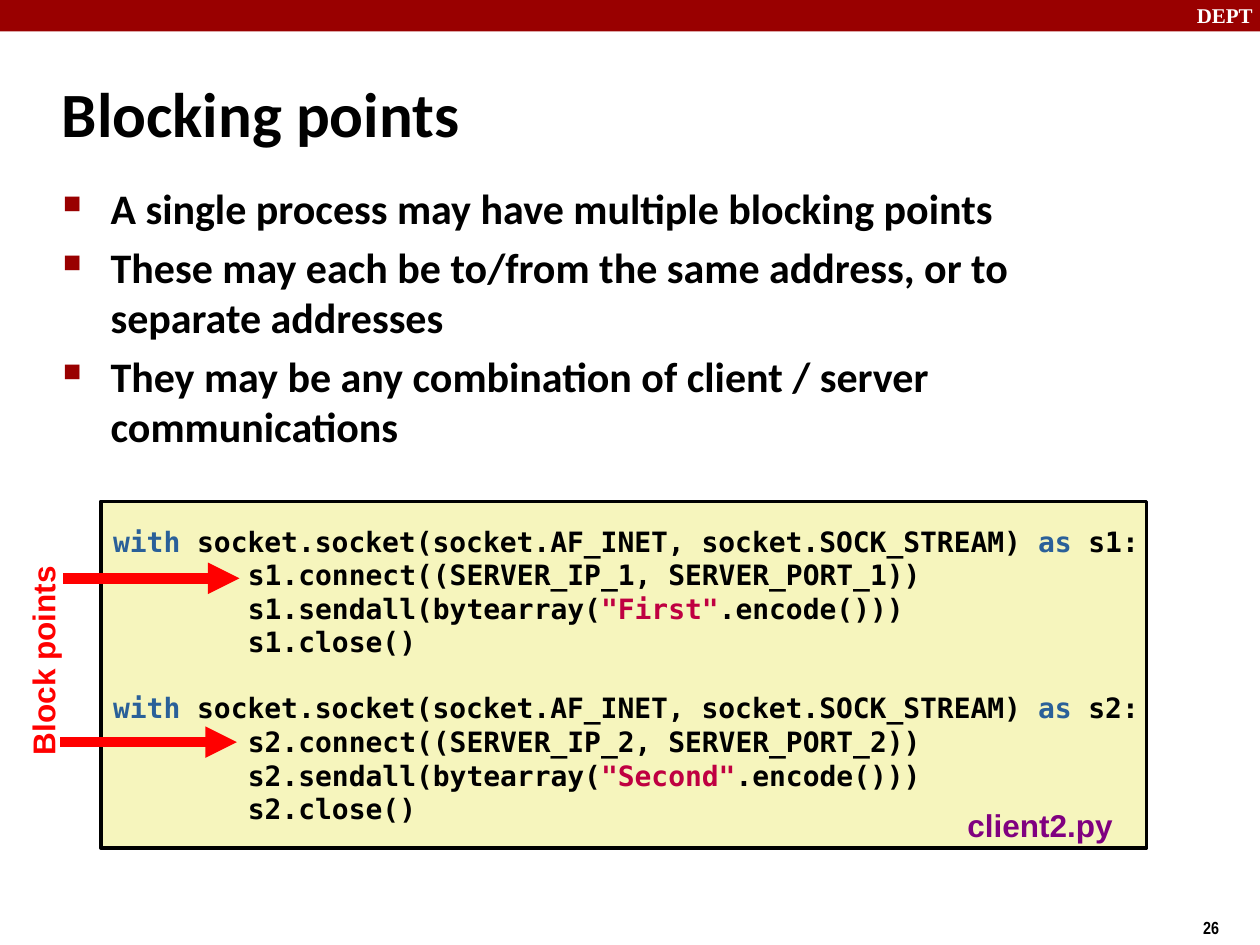
from pptx import Presentation
from pptx import util as u
from pptx.dml.color import RGBColor
from pptx.enum import shapes, text
from pptx.oxml.ns import qn
from lxml import etree

THEME = {
    "red": "990000", "white": "FFFFFF", "ink": "000000", "cream": "F6F5BD",
    "key": "2A6099", "str": "BF0041", "file": "800080", "alert": "FF0000",
    "title": ("Calibri", 36), "body": ("Calibri", 24),
    "code": ("DejaVu Sans Mono", 16), "label": ("Arial", 18),
    "brand": ("Times New Roman", 12), "page": ("Arial Narrow", 10),
}

TITLE = "Blocking points"
POINTS = [
    "A single process may have multiple blocking points",
    "These may each be to/from the same address, or to separate addresses",
    "They may be any combination of client / server communications",
]
CALLS = [(1, "First"), (2, "Second")]
LABELS = [
    ("DEPT", (9.4, -0.03, 0.67, 0.3), "brand", "white", 0),
    ("26", (9.45, 7.23, 0.55, 0.27), "page", "ink", 0),
    ("client2.py", (7.58, 6.35, 1.44, 0.38), "label", "file", 0),
    ("Block points", (-0.43, 4.86, 1.8, 0.66), "label", "alert", 270),
]
ARROWS = [(0.5, 4.59), (0.48, 5.89)]
REACH = 1.4
INDENT = 1.07
GAP = 18.6


def color(name):
    return RGBColor.from_string(THEME[name])


def style(para, kind, tint="ink"):
    font = para.font
    font.name, size = THEME[kind]
    font.size = u.Pt(size)
    font.bold = True
    font.color.rgb = color(tint)
    para.alignment = text.PP_ALIGN.LEFT


def inches(box):
    return [u.Inches(v) for v in box]


def rect(slide, box, fill):
    shape = slide.shapes.add_shape(shapes.MSO_SHAPE.RECTANGLE, *inches(box))
    shape.shadow.inherit = False
    shape.fill.solid()
    shape.fill.fore_color.rgb = color(fill)
    shape.line.fill.background()
    return shape


def fill_text(frame, lines, kind):
    frame.word_wrap = True
    for i, line in enumerate(lines):
        para = frame.paragraphs[0] if i == 0 else frame.add_paragraph()
        para.text = line
        style(para, kind)
        yield para


def label(slide, words, box, kind, tint, turn):
    shape = slide.shapes.add_textbox(*inches(box))
    shape.rotation = turn
    for para in fill_text(shape.text_frame, [words], kind):
        style(para, kind, tint)


def head(slide):
    shape = slide.shapes.title
    shape.left, shape.top, shape.width, shape.height = inches((0.39, 0.48, 8.3, 0.83))
    frame = shape.text_frame
    frame.auto_size = text.MSO_AUTO_SIZE.NONE
    frame.vertical_anchor = text.MSO_ANCHOR.MIDDLE
    list(fill_text(frame, [TITLE], "title"))


def bullets(slide):
    shape = slide.shapes.add_textbox(*inches((0.4, 1.4, 8.97, 2.82)))
    for para in fill_text(shape.text_frame, POINTS, "body"):
        para.space_before = u.Pt(4.8)
        props = para._p.get_or_add_pPr()
        props.set("marL", str(u.Inches(0.38)))
        props.set("indent", str(u.Inches(-0.38)))
        tint = etree.SubElement(props, qn("a:buClr"))
        etree.SubElement(tint, qn("a:srgbClr"), val=THEME["red"])
        etree.SubElement(props, qn("a:buSzPct"), val="60000")
        etree.SubElement(props, qn("a:buChar"), char="■")
        props.append(props.find(qn("a:defRPr")))


def code_lines(num, word):
    return [
        (0, [("with", "key"),
             (" socket.socket(socket.AF_INET, socket.SOCK_STREAM) ", "ink"),
             ("as", "key"), (f" s{num}:", "ink")]),
        (1, [(f"s{num}.connect((SERVER_IP_{num}, SERVER_PORT_{num}))", "ink")]),
        (1, [(f"s{num}.sendall(bytearray(", "ink"), (f'"{word}"', "str"),
             (".encode()))", "ink")]),
        (1, [(f"s{num}.close()", "ink")]),
    ]


def code(slide):
    shape = rect(slide, (0.8, 3.98, 8.3, 2.75), "cream")
    shape.line.color.rgb = color("ink")
    shape.line.width = u.Pt(2)
    frame = shape.text_frame
    frame.vertical_anchor = text.MSO_ANCHOR.MIDDLE
    frame.margin_right = 0
    lines = [line for call in CALLS for line in code_lines(*call)]
    paras = fill_text(frame, [""] * len(lines), "code")
    for i, (para, (depth, parts)) in enumerate(zip(paras, lines)):
        props = para._p.get_or_add_pPr()
        props.set("marL", str(u.Inches(INDENT * depth)))
        props.set("indent", "0")
        if i and depth == 0:
            para.space_before = u.Pt(GAP)
        for words, tint in parts:
            run = para.add_run()
            run.text = words
            font = run.font
            font.name, size = THEME["code"]
            font.size = u.Pt(size)
            font.bold = True
            font.color.rgb = color(tint)


def arrow(slide, left, top):
    line = slide.shapes.add_connector(
        shapes.MSO_CONNECTOR.STRAIGHT, *inches((left, top, left + REACH, top)))
    line.line.color.rgb = color("alert")
    line.line.width = u.Pt(6)
    etree.SubElement(line.line._get_or_add_ln(), qn("a:tailEnd"), type="triangle")
    etree.SubElement(line._element.spPr, qn("a:effectLst"))


def main():
    deck = Presentation()
    deck.slide_width, deck.slide_height = inches((10, 7.5))
    slide = deck.slides.add_slide(deck.slide_layouts[5])
    rect(slide, (0, 0, 10, 0.25), "red")
    head(slide)
    bullets(slide)
    code(slide)
    for item in LABELS:
        label(slide, *item)
    for spot in ARROWS:
        arrow(slide, *spot)
    deck.save("out.pptx")


if __name__ == "__main__":
    main()
